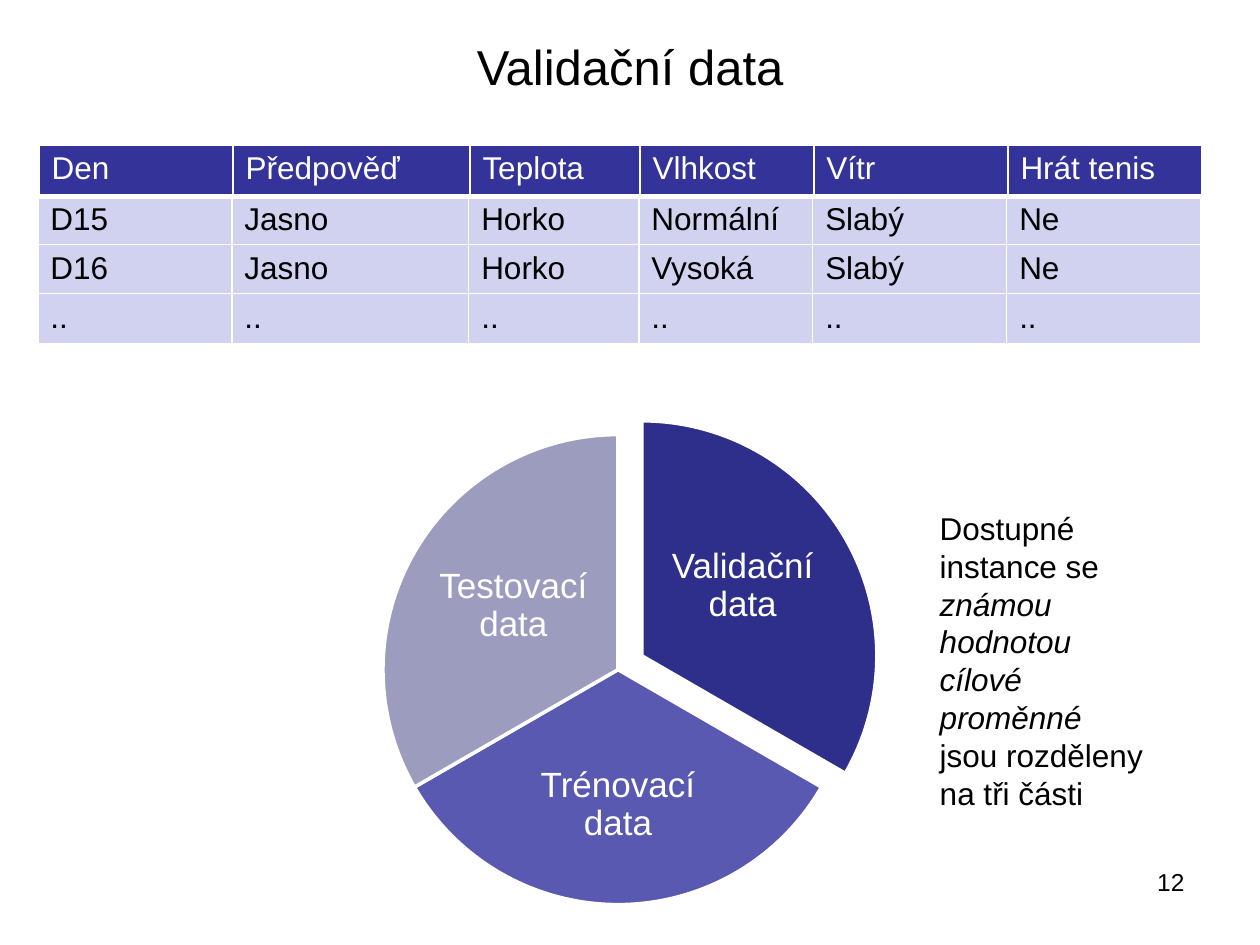
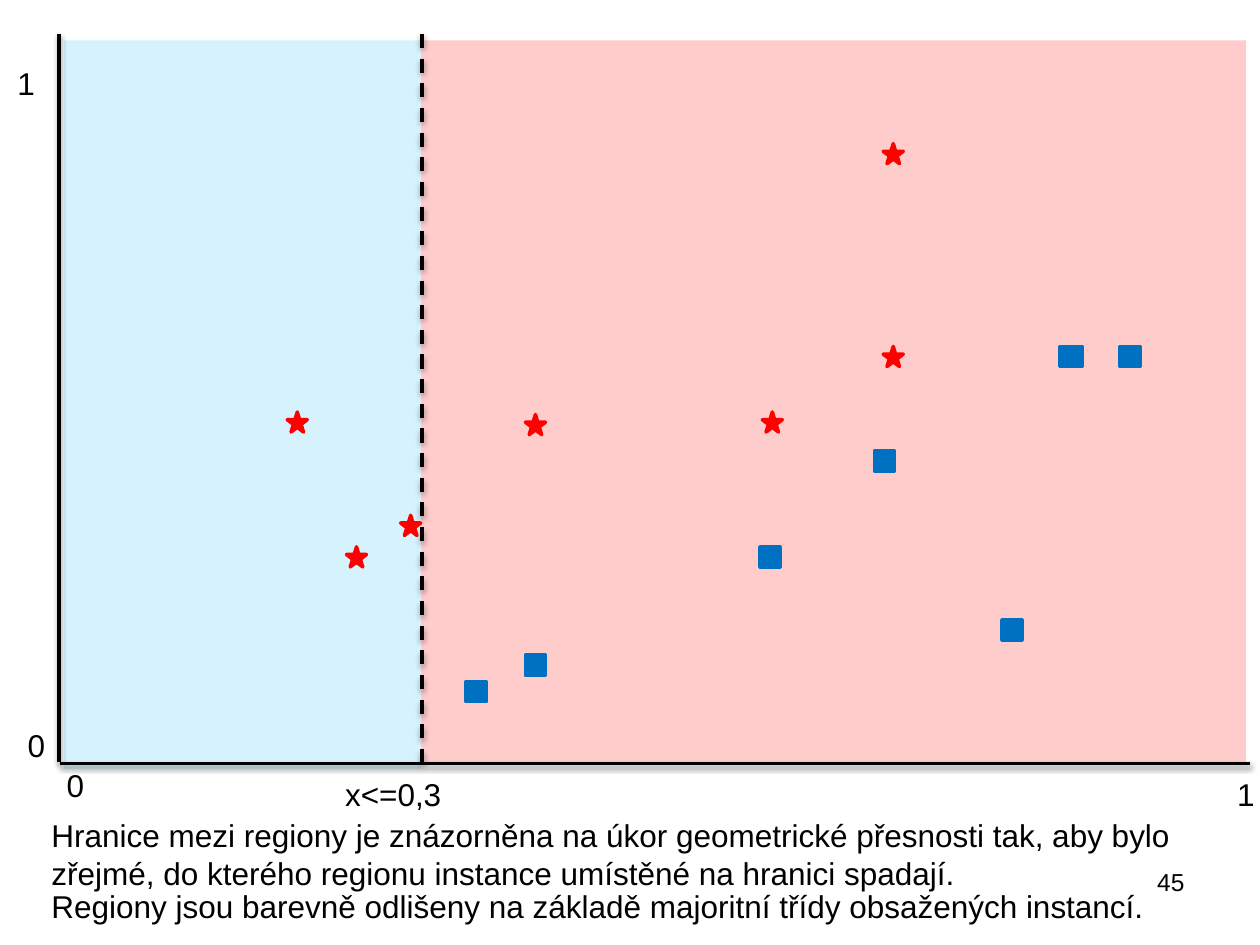
from lxml import etree
from pptx import Presentation
from pptx.dml.color import RGBColor
from pptx.enum.dml import MSO_LINE
from pptx.enum.shapes import MSO_CONNECTOR, MSO_SHAPE
from pptx.enum.text import MSO_ANCHOR, MSO_AUTO_SIZE, PP_ALIGN
from pptx.oxml import parse_xml
from pptx.oxml.ns import nsdecls, qn
from pptx.util import Inches, Pt

CENTER, RIGHT, LEFT = PP_ALIGN.CENTER, PP_ALIGN.RIGHT, PP_ALIGN.LEFT
MIDDLE, TOP = MSO_ANCHOR.MIDDLE, MSO_ANCHOR.TOP
GROW, FIXED = MSO_AUTO_SIZE.SHAPE_TO_FIT_TEXT, MSO_AUTO_SIZE.NONE
PIE, RECT, STAR = MSO_SHAPE.PIE, MSO_SHAPE.RECTANGLE, MSO_SHAPE.STAR_5_POINT
STRAIGHT, DASH = MSO_CONNECTOR.STRAIGHT, MSO_LINE.DASH

BLACK = RGBColor(0x00, 0x00, 0x00)
WHITE = RGBColor(0xFF, 0xFF, 0xFF)
INDIGO = RGBColor(0x33, 0x33, 0x99)
LAVENDER = RGBColor(0xD1, 0xD1, 0xF0)
VALIDATION = RGBColor(0x2E, 0x2E, 0x8B)
TRAINING = RGBColor(0x59, 0x59, 0xB1)
TESTING = RGBColor(0x9C, 0x9C, 0xBF)
PINK = RGBColor(0xFF, 0xCC, 0xCC)
SKY = RGBColor(0x00, 0xB0, 0xF0)
RED = RGBColor(0xFF, 0x00, 0x00)
BLUE = RGBColor(0x00, 0x70, 0xC0)

FONT = "Arial"
MARKER = 0.16
COLUMNS = (1.54, 1.88, 1.35, 1.38, 1.54, 1.54)
HEADINGS = ("Den", "Předpověď", "Teplota", "Vlhkost", "Vítr", "Hrát tenis")
DAYS = (
    ("D15", "Jasno", "Horko", "Normální", "Slabý", "Ne"),
    ("D16", "Jasno", "Horko", "Vysoká", "Slabý", "Ne"),
    ("..",) * 6,
)
SLICES = (
    ("Validační data", (3.23, 3.34), (162, 18), VALIDATION, (5.26, 4.03, 1.27, 1.24)),
    ("Trénovací data", (3.04, 3.45), (18, 90), TRAINING, (4.06, 5.81, 1.69, 1.16)),
    ("Testovací data", (3.04, 3.45), (90, 162), TESTING, (3.44, 4.19, 1.27, 1.24)),
)
STARS = ((2.28, 3.27), (4.17, 3.29), (2.75, 4.34), (3.18, 4.09),
         (7.01, 2.75), (6.05, 3.27), (7.01, 1.14))
SQUARES = ((4.17, 5.2), (8.43, 2.75), (6.03, 4.34), (6.94, 3.58),
           (7.95, 4.92), (3.7, 5.41), (8.41, 2.75), (8.89, 2.75))


def inches(lengths):
    """Convert a sequence of numbers to inch lengths."""
    return [Inches(length) for length in lengths]


def apply(target, values):
    """Set every attribute in values on target."""
    for name, value in values.items():
        setattr(target, name, value)


def write(paragraph, text, size=18, color=BLACK, italic=False):
    """Append a formatted run to a paragraph."""
    run = paragraph.add_run()
    run.text = text
    apply(run.font, {"name": FONT, "size": Pt(size), "italic": italic})
    run.font.color.rgb = color


def add_text(shapes, box, *texts, size=18, color=BLACK, align=LEFT, anchor=TOP,
             wrap=True, fit=GROW, inset=None, spacing=None):
    """Add a one-paragraph text box; every second text is italic."""
    frame = shapes.add_textbox(*inches(box)).text_frame
    apply(frame, {"word_wrap": wrap, "auto_size": fit, "vertical_anchor": anchor})
    if inset is not None:
        sides = ("margin_left", "margin_top", "margin_right", "margin_bottom")
        apply(frame, dict.fromkeys(sides, Inches(inset)))
    paragraph = frame.paragraphs[0]
    apply(paragraph, {"alignment": align, "line_spacing": spacing})
    for index, text in enumerate(texts):
        write(paragraph, text, size, color, italic=index % 2 == 1)


def add_page_number(slide, number):
    """Add the slide number at the lower right."""
    add_text(slide.shapes, (7.17, 6.83, 2.33, 0.52), number, size=14,
             align=RIGHT, fit=FIXED)


def add_filled(shapes, preset, box, fill, line=None):
    """Add a shadowless preset shape with a solid fill."""
    shape = shapes.add_shape(preset, *inches(box))
    shape.shadow.inherit = False
    shape.fill.solid()
    shape.fill.fore_color.rgb = fill
    if line is None:
        shape.line.fill.background()
    else:
        shape.line.color.rgb = line
        shape.line.width = Pt(2)
    return shape


def set_borders(cell):
    """Give a cell white borders with a thicker bottom one."""
    properties = cell._tc.get_or_add_tcPr()
    for side, points in (("L", 1), ("R", 1), ("T", 1), ("B", 3)):
        properties.append(parse_xml(
            f'<a:ln{side} {nsdecls("a")} w="{Pt(points)}"><a:solidFill>'
            f'<a:srgbClr val="{WHITE}"/></a:solidFill></a:ln{side}>'))


def add_table_row(slide, left, top, texts, fill, color):
    """Add a one-row table."""
    box = inches((left, top, sum(COLUMNS), 0.41))
    table = slide.shapes.add_table(1, len(texts), *box).table
    apply(table, {"first_row": False, "horz_banding": False})
    for column, width, cell, text in zip(table.columns, COLUMNS, table.iter_cells(), texts):
        column.width = Inches(width)
        set_borders(cell)
        cell.fill.solid()
        cell.fill.fore_color.rgb = fill
        write(cell.text_frame.paragraphs[0], text, color=color)


def add_pie(slide):
    """Add the three labelled slices, with the first pulled out."""
    pie = slide.shapes.add_group_shape().shapes
    for label, corner, angles, fill, label_box in SLICES:
        wedge = add_filled(pie, PIE, (*corner, 3.73, 3.73), fill, WHITE)
        for index, angle in enumerate(angles):
            wedge.adjustments[index] = angle
        add_text(pie, label_box, label, size=20, color=WHITE, align=CENTER,
                 anchor=MIDDLE, fit=FIXED, inset=0.03, spacing=0.9)


def add_axis(slide, start, end, dash=None):
    """Add a black line with a soft shadow below it."""
    axis = slide.shapes.add_connector(STRAIGHT, *inches((*start, *end)))
    axis.line.color.rgb = BLACK
    apply(axis.line, {"width": Pt(2), "dash_style": dash})
    axis._element.spPr.append(parse_xml(
        f'<a:effectLst {nsdecls("a")}><a:outerShdw blurRad="{Pt(3.1)}" '
        f'dist="{Pt(1.6)}" dir="5400000" rotWithShape="0"><a:srgbClr val="{BLACK}">'
        '<a:alpha val="38000"/></a:srgbClr></a:outerShdw></a:effectLst>'))


def build_validation(prs):
    """Build the slide on validation data."""
    slide = prs.slides.add_slide(prs.slide_layouts[5])
    title = slide.shapes.title
    apply(title, dict(zip(("left", "top", "width", "height"), inches((0.5, 0.21, 9, 0.63)))))
    title.text_frame.vertical_anchor = MIDDLE
    heading = title.text_frame.paragraphs[0]
    heading.alignment = CENTER
    write(heading, "Validační data", size=28)
    add_page_number(slide, "12")
    for index, day in enumerate(DAYS):
        add_table_row(slide, 0.3, 1.55 + 0.39 * index, day, LAVENDER, BLACK)
    add_table_row(slide, 0.31, 1.15, HEADINGS, INDIGO, WHITE)
    add_pie(slide)
    add_text(slide.shapes, (7.36, 3.99, 1.81, 2.52), "Dostupné instance se ",
             "známou hodnotou cílové proměnné ", "jsou rozděleny na tři části")


def build_regions(prs):
    """Build the slide with the plane split into two regions."""
    slide = prs.slides.add_slide(prs.slide_layouts[6])
    shapes = slide.shapes
    add_filled(shapes, RECT, (3.34, 0.32, 6.55, 5.73), PINK)
    left_region = add_filled(shapes, RECT, (0.51, 0.32, 2.83, 5.78), SKY)
    tint = left_region._element.spPr.find(qn("a:solidFill"))[0]
    etree.SubElement(tint, qn("a:alpha")).set("val", "16000")

    add_axis(slide, (3.35, 0.27), (3.35, 6.06), DASH)
    add_axis(slide, (0.47, 0.27), (0.47, 6.05))
    add_axis(slide, (9.92, 6.06), (0.48, 6.06))

    for preset, color, corners in ((STAR, RED, STARS), (RECT, BLUE, SQUARES)):
        for corner in corners:
            add_filled(shapes, preset, (*corner, MARKER, MARKER), color, color)

    for text, left, top in (("0", 0.43, 6.03), ("1", 9.72, 6.1), ("1", 0.04, 0.46)):
        add_text(shapes, (left, top, 0.34, 0.4), text, wrap=False)
    add_text(shapes, (0.12, 5.71, 0.79, 0.4), "0")
    add_text(shapes, (2.64, 6.1, 1.19, 0.4), "x<=0,3")
    add_text(shapes, (0.31, 6.43, 9.44, 0.71),
             "Hranice mezi regiony je znázorněna na úkor geometrické přesnosti tak, "
             "aby bylo zřejmé, do kterého regionu instance umístěné na hranici spadají.")
    add_text(shapes, (0.31, 6.99, 9.44, 0.4),
             "Regiony jsou barevně odlišeny na základě majoritní třídy obsažených instancí.")
    add_page_number(slide, "45")


def main():
    """Build and save the presentation."""
    prs = Presentation()
    apply(prs, {"slide_width": Inches(10), "slide_height": Inches(7.5)})
    build_validation(prs)
    build_regions(prs)
    prs.save("out.pptx")


if __name__ == "__main__":
    main()
